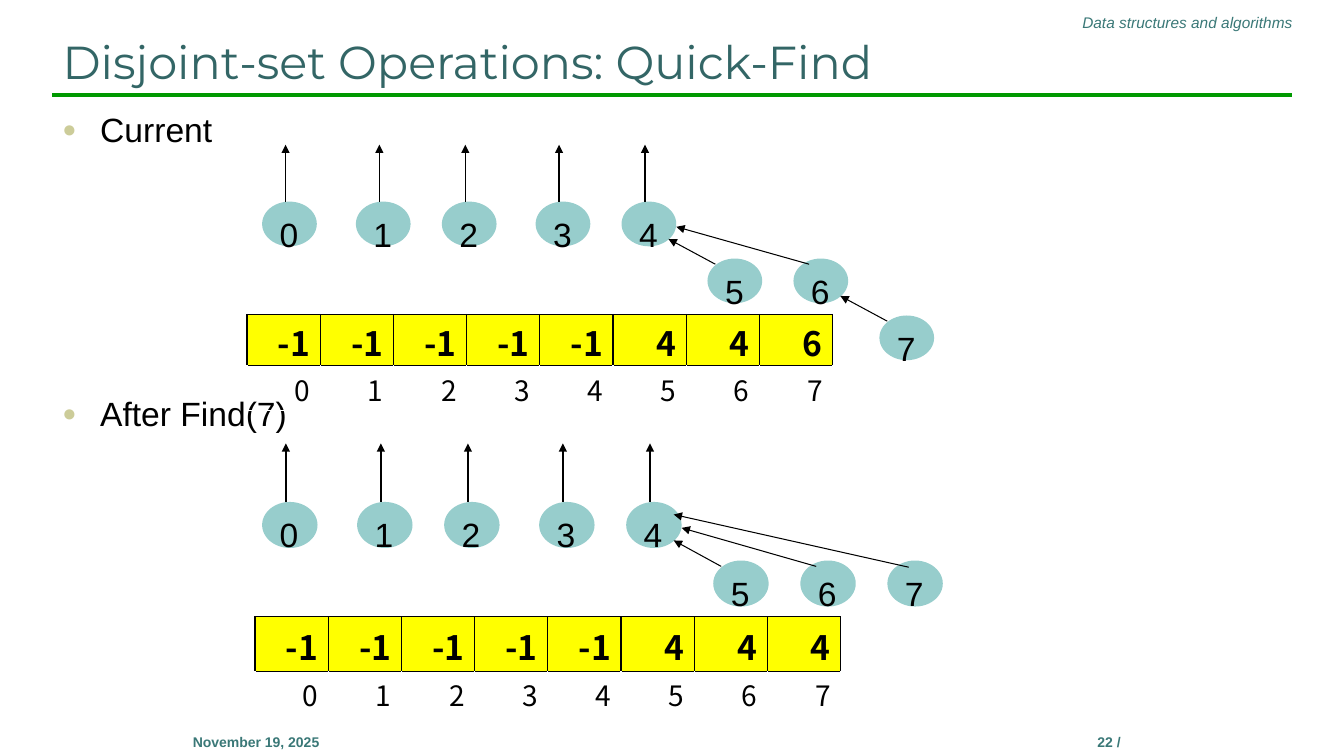
from lxml.etree import SubElement
from pptx import Presentation
from pptx.dml.color import RGBColor
from pptx.enum.shapes import MSO_CONNECTOR, MSO_SHAPE
from pptx.enum.text import MSO_ANCHOR, MSO_AUTO_SIZE, PP_ALIGN
from pptx.oxml import parse_xml
from pptx.oxml.ns import nsdecls, qn
from pptx.util import Inches, Pt

COLORS = {"title": "336666", "margin": "3A7877", "rule": "009900", "bullet": "CCCC99",
          "node": "97CDCC", "cell": "FFFF00", "ink": "000000"}
GRID = Inches(0.1)  # side of one grid square

# Node positions in forest units, counted from the top left of node 0
NODE_COLUMNS = [0, 12, 23, 35, 46, 57, 68, 79]
LEVEL = 7
ROOTS = range(5)
# Where an edge leaves the child and meets the parent, in forest units
NEAR = ((1, 0.7), (6, 4.6))
MIDDLE = ((2, 0.7), (7, 3.1))
FAR = ((2.7, 0.8), (6, 1.5))


def rgb(name):
    return RGBColor.from_string(COLORS[name])


def units(value):
    return round(value * GRID)


class Page:
    """One slide on a grid of tenths of an inch."""

    def __init__(self, deck):
        self.slide = deck.slides.add_slide(deck.slide_layouts[5])
        self.shapes = self.slide.shapes

    def style(self, para, size, color="ink", font="Arial", bold=False, italic=False,
              align=PP_ALIGN.LEFT):
        para.alignment = align
        para.font.size = Pt(size)
        para.font.name = font
        para.font.bold = bold
        para.font.italic = italic
        para.font.color.rgb = rgb(color)

    def title(self, text, *place):
        box = self.shapes.title
        box.left, box.top, box.width, box.height = map(units, place)
        frame = box.text_frame
        frame.text = text
        frame.auto_size = MSO_AUTO_SIZE.NONE
        frame.vertical_anchor = MSO_ANCHOR.BOTTOM
        self.style(frame.paragraphs[0], 33, "title", "Montserrat")

    def text(self, text, *place, size, **style):
        box = self.shapes.add_textbox(*map(units, place))
        frame = box.text_frame
        frame.word_wrap = True
        frame.text = text
        for para in frame.paragraphs:
            self.style(para, size, **style)
        return frame

    def bullets(self, lines, *place, gap):
        frame = self.text("\n".join(lines), *place, size=24)
        frame.margin_top = units(0.9)
        for para in frame.paragraphs:
            para.space_before = Pt(0)
            properties = para._p.get_or_add_pPr()
            properties.set("marL", str(units(3.75)))
            properties.set("indent", str(units(-3.75)))
            marks = (f'<a:buClr {nsdecls("a")}><a:srgbClr val="{COLORS["bullet"]}"/></a:buClr>',
                     f'<a:buSzPct {nsdecls("a")} val="70000"/>',
                     f'<a:buFont {nsdecls("a")} typeface="Arial"/>',
                     f'<a:buChar {nsdecls("a")} char="●"/>')
            for mark in marks:
                properties.find(qn("a:defRPr")).addprevious(parse_xml(mark))
        for para in frame.paragraphs[1:]:
            para.space_before = Pt(gap)

    def line(self, start, end, width, color="ink", arrow=True):
        line = self.shapes.add_connector(MSO_CONNECTOR.STRAIGHT, *map(units, (*start, *end)))
        line.line.color.rgb = rgb(color)
        line.line.width = Pt(width)
        properties = line._element.spPr
        if arrow:
            SubElement(properties.find(qn("a:ln")), qn("a:tailEnd"), type="triangle")
        SubElement(properties, qn("a:effectLst"))

    def node(self, label, left, top, width, height):
        oval = self.shapes.add_shape(MSO_SHAPE.OVAL, *map(units, (left, top, width, height)))
        oval.shadow.inherit = False
        oval.fill.solid()
        oval.fill.fore_color.rgb = rgb("node")
        oval.line.fill.background()
        frame = self.text(label, left + 0.75, top + 0.4, 3.1, 5, size=24)
        frame.margin_top = units(0.8)
        frame.margin_right = 0

    def forest(self, left, top, column, row, depths, edges):
        """Draw the nodes at their depths; edges are (child, parent, kind)."""
        def point(node, offset):
            across, down = offset
            return (left + (NODE_COLUMNS[node] + across) * column,
                    top + (depths[node] * LEVEL + down) * row)

        for node in range(len(depths)):
            self.node(str(node), *point(node, (0, 0)), 7 * column, 5.5 * row)
        for root in ROOTS:
            self.line(point(root, (3, 0)), point(root, (3, -LEVEL)), 1)
        for child, parent, (leave, meet) in edges:
            self.line(point(child, leave), point(parent, meet), 0.75)

    def border(self, cell, sides):
        properties = cell._tc.get_or_add_tcPr()
        for place, side in enumerate(sides):
            properties.insert(place, parse_xml(
                f'<a:ln{side} {nsdecls("a")} w="12700"><a:solidFill>'
                f'<a:srgbClr val="{COLORS["ink"]}"/></a:solidFill></a:ln{side}>'))

    def parents(self, values, left, top, heights):
        """Table of parent values above the node numbers."""
        place = map(units, (left, top, 58.1, sum(heights)))
        table = self.shapes.add_table(2, len(values), *place).table
        table.first_row = table.horz_banding = False
        for row, height in zip(table.rows, heights):
            row.height = units(height)
        for column, value in enumerate(values):
            for row, text in enumerate((value, column)):
                cell = table.cell(row, column)
                cell.text = str(text)
                cell.vertical_anchor = MSO_ANCHOR.MIDDLE
                cell.margin_top, cell.margin_bottom = units(0.3), 0
                self.style(cell.text_frame.paragraphs[0], (24, 20)[row], bold=row == 0,
                           font="Noto Sans CJK SC", align=PP_ALIGN.RIGHT)
                if row == 0:
                    cell.fill.solid()
                    cell.fill.fore_color.rgb = rgb("cell")
                    self.border(cell, "LRTB")
                else:
                    cell.fill.background()
                    self.border(cell, "T")


def main():
    deck = Presentation()
    deck.slide_width, deck.slide_height = Inches(13.33), Inches(7.5)
    page = Page(deck)

    page.line((5.2, 9.4), (128.1, 9.4), 3, "rule", arrow=False)
    page.text("Data structures and algorithms", 56.3, 0.8, 72.9, 2.9, size=11,
              color="margin", italic=True, align=PP_ALIGN.RIGHT)
    for text, left in (("22 /", 95), ("November 19, 2025", 10.4)):
        page.text(text, left, 72.3, 30, 2.7, size=10, color="margin", bold=True,
                  align=PP_ALIGN.CENTER)
    page.title("Disjoint-set Operations: Quick-Find", 5.2, 2.3, 122.9, 7)
    page.bullets(["Current", "After Find(7)"], 5.2, 9.9, 122.9, 57, gap=174)

    shared_edges = [(5, 4, NEAR), (6, 4, MIDDLE)]
    page.forest(26, 20, 0.775, 0.807, [0] * 5 + [1, 1, 2], shared_edges + [(7, 6, NEAR)])
    page.parents([-1] * 5 + [4, 4, 6], 24.5, 31.2, (5.1, 4.4))
    page.forest(26, 49.8, 0.785, 0.83, [0] * 5 + [1, 1, 1], shared_edges + [(7, 4, FAR)])
    page.parents([-1] * 5 + [4, 4, 4], 25.3, 61.2, (5.4, 4.3))

    deck.save("out.pptx")


if __name__ == "__main__":
    main()
